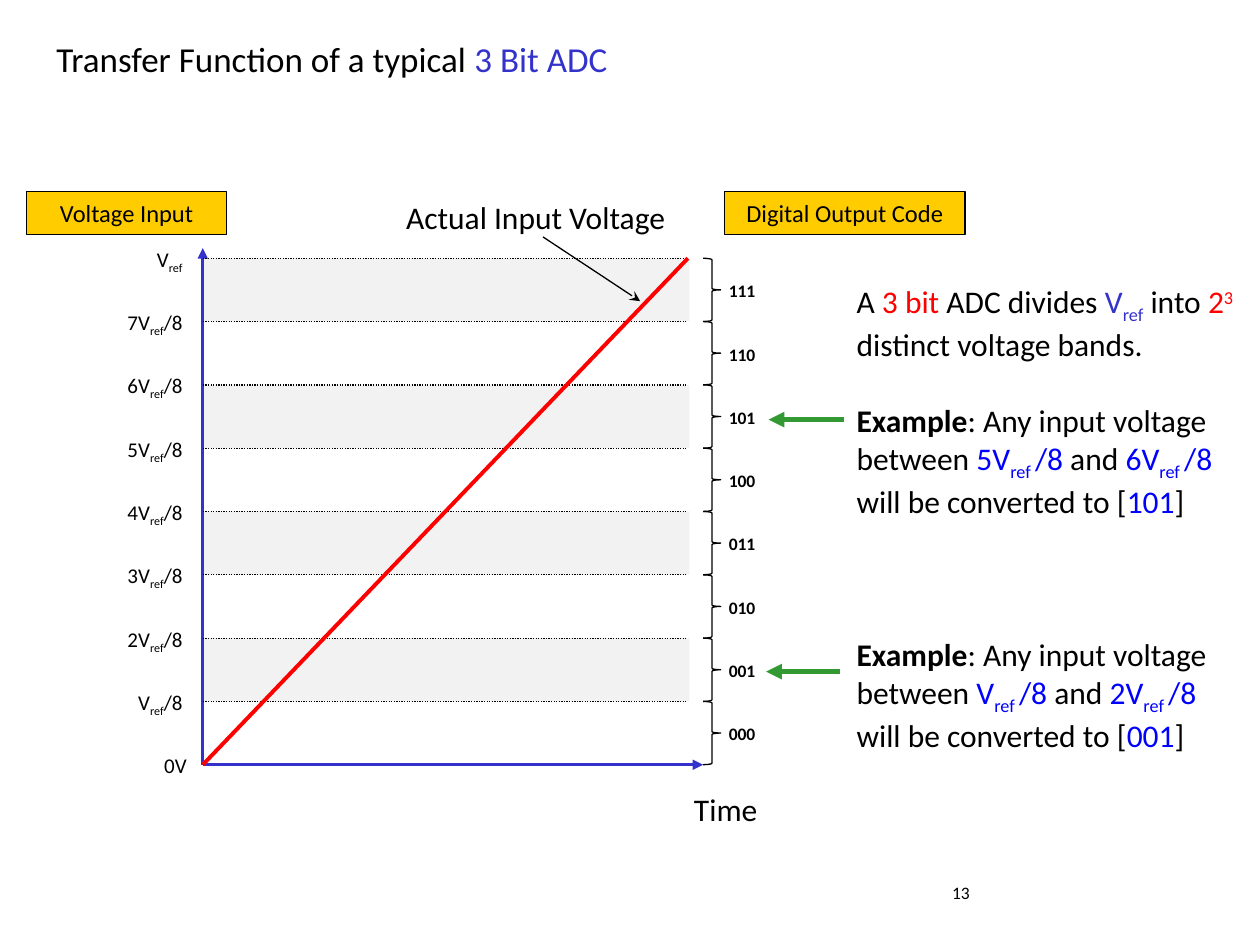
from typing import NamedTuple

from lxml import etree
from pptx import Presentation
from pptx.dml.color import RGBColor
from pptx.enum.dml import MSO_LINE
from pptx.enum.shapes import MSO_CONNECTOR, MSO_SHAPE
from pptx.enum.text import MSO_ANCHOR, PP_ALIGN
from pptx.oxml.ns import qn
from pptx.util import Pt

LEFT, MID, RIGHT = PP_ALIGN.LEFT, PP_ALIGN.CENTER, PP_ALIGN.RIGHT
TOP = MSO_ANCHOR.TOP
RECT, BRACE = MSO_SHAPE.RECTANGLE, MSO_SHAPE.RIGHT_BRACE
STRAIGHT = MSO_CONNECTOR.STRAIGHT
DOTS = MSO_LINE.ROUND_DOT

BLACK = RGBColor(0x00, 0x00, 0x00)
GRAY = RGBColor(0xF2, 0xF2, 0xF2)
GOLD = RGBColor(0xFF, 0xCC, 0x00)
NAVY = RGBColor(0x33, 0x33, 0xCC)
BLUE = RGBColor(0x00, 0x00, 0xFF)
RED = RGBColor(0xFF, 0x00, 0x00)
GREEN = RGBColor(0x33, 0x99, 0x33)

FONT = "Calibri"
BITS = 3
BANDS = 2 ** BITS
AXIS_X, PLOT_R = 115.9, 393.1
PLOT_T, STEP = 147.6, 36.18
BASE = PLOT_T + BANDS * STEP


class Box(NamedTuple):
    x: float
    y: float
    w: float
    h: float


class Run(NamedTuple):
    text: str
    color: RGBColor = BLACK
    shift: int = 0
    bold: bool = False


class Para(NamedTuple):
    runs: list[Run]
    gap: float = 0


class Arrow(NamedTuple):
    x1: float
    y1: float
    x2: float
    y2: float
    color: RGBColor
    width: float
    head: str


def write(frame, paras: list[Para], size: float, align=LEFT) -> None:
    frame.word_wrap = True
    frame.vertical_anchor = TOP
    for i, para in enumerate(paras):
        p = frame.paragraphs[0] if i == 0 else frame.add_paragraph()
        p.alignment = align
        if para.gap:
            p.space_before = Pt(para.gap)
        for part in para.runs:
            run = p.add_run()
            run.text = part.text
            font = run.font
            font.name, font.size, font.bold = FONT, Pt(size), part.bold
            font.color.rgb = part.color
            if part.shift:
                run._r.get_or_add_rPr().set("baseline", str(part.shift * 1000))


def text(slide, box: Box, *runs: Run, size: float, align=LEFT) -> None:
    frame = slide.shapes.add_textbox(*map(Pt, box)).text_frame
    write(frame, [Para(list(runs))], size, align)


def shape(slide, kind, box: Box, fill=None, edge=None):
    item = slide.shapes.add_shape(kind, *map(Pt, box))
    item.shadow.inherit = False
    if fill is None:
        item.fill.background()
    else:
        item.fill.solid()
        item.fill.fore_color.rgb = fill
    if edge is None:
        item.line.fill.background()
    else:
        item.line.color.rgb = edge
        item.line.width = Pt(0.75)
    return item


def line(slide, x1: float, y1: float, x2: float, y2: float,
         color=BLACK, width=0.75, head="", dash=None) -> None:
    item = slide.shapes.add_connector(STRAIGHT, *map(Pt, (x1, y1, x2, y2)))
    item.line.color.rgb = color
    item.line.width = Pt(width)
    if dash:
        item.line.dash_style = dash
    if head:
        tail = etree.SubElement(item.line._get_or_add_ln(), qn("a:tailEnd"))
        tail.set("type", head)
    etree.SubElement(item._element.spPr, qn("a:effectLst"))


def volt(n: int, color=BLACK, space="") -> list[Run]:
    """Runs for n eighths of the reference voltage."""
    if n == 0:
        return [Run("0V", color)]
    lead = "V" if n in (1, BANDS) else f"{n}V"
    runs = [Run(lead, color), Run("ref" + space, color, -25)]
    return runs if n == BANDS else runs + [Run(f"/{BANDS}", color)]


def sample(n: int, gap: float) -> Para:
    """Worked example for the band that starts at level n."""
    return Para([
        Run("Example", bold=True), Run(": Any input voltage between "),
        *volt(n, BLUE, " "), Run(" and "), *volt(n + 1, BLUE, " "),
        Run(" will be converted to ["), Run(f"{n:03b}", BLUE), Run("]"),
    ], gap)


def draw_plot(slide) -> None:
    for row in range(0, BANDS, 2):
        y = PLOT_T + row * STEP
        shape(slide, RECT, Box(AXIS_X, y, 278, STEP), GRAY)
    line(slide, AXIS_X, BASE, 401.8, BASE, NAVY, 1.5, "triangle")
    line(slide, AXIS_X, BASE, AXIS_X, 141.8, NAVY, 1.5, "triangle")
    for row in range(BANDS + 1):
        y, n = PLOT_T + row * STEP, BANDS - row
        x = 39.4 if n else 41.8
        text(slide, Box(x, y - 10.5, 72, 24), *volt(n), size=12, align=RIGHT)
        if n == 0:
            continue
        line(slide, AXIS_X, y, 392.4, y, dash=DOTS)
        shape(slide, BRACE, Box(401.8, y, 10, STEP), edge=BLACK)
        text(slide, Box(408.2, y + 9, 31.7, 19.4),
             Run(f"{n - 1:03b}", bold=True), size=10, align=MID)
    line(slide, AXIS_X, BASE, PLOT_R, PLOT_T, RED, 2.25)


def draw_notes(slide) -> None:
    intro = Para([
        Run("A "), Run("3 bit ", RED), Run("ADC divides "), Run("V", NAVY),
        Run("ref", NAVY, -25), Run(" into "), Run("2", RED),
        Run("3", RED, 30), Run(" distinct voltage bands."),
    ])
    area = slide.shapes.add_textbox(Pt(482.4), Pt(157.7), Pt(229.7), Pt(309))
    write(area.text_frame, [intro, sample(5, 22), sample(1, 66)], 18)


def main() -> None:
    deck = Presentation()
    deck.slide_width, deck.slide_height = Pt(720), Pt(540)
    slide = deck.slides.add_slide(deck.slide_layouts[6])

    text(slide, Box(25.2, 18, 679, 39), Run("Transfer Function of a typical"),
         Run(" 3 Bit ADC", NAVY), size=20)
    text(slide, Box(537, 500.4, 168, 36), Run("13"), size=10)
    draw_plot(slide)

    for x, w, name in ((15.1, 114.5, "Voltage Input"),
                       (414, 137.5, "Digital Output Code")):
        item = shape(slide, RECT, Box(x, 109.4, w, 24.5), GOLD, BLACK)
        write(item.text_frame, [Para([Run(name)])], 14, MID)

    draw_notes(slide)
    text(slide, Box(179.3, 109.4, 208, 28.8), Run("Actual Input Voltage"),
         size=18, align=RIGHT)
    text(slide, Box(389.5, 447.8, 69, 28.8), Run("Time"), size=18)
    for arrow in (Arrow(310.3, 135.4, 365.8, 172.1, BLACK, 0.75, "stealth"),
                  Arrow(482.4, 239.8, 439.2, 239.8, GREEN, 3, "triangle"),
                  Arrow(480.2, 383.8, 437.8, 383.8, GREEN, 3, "triangle")):
        line(slide, *arrow)
    deck.save("out.pptx")


if __name__ == "__main__":
    main()
